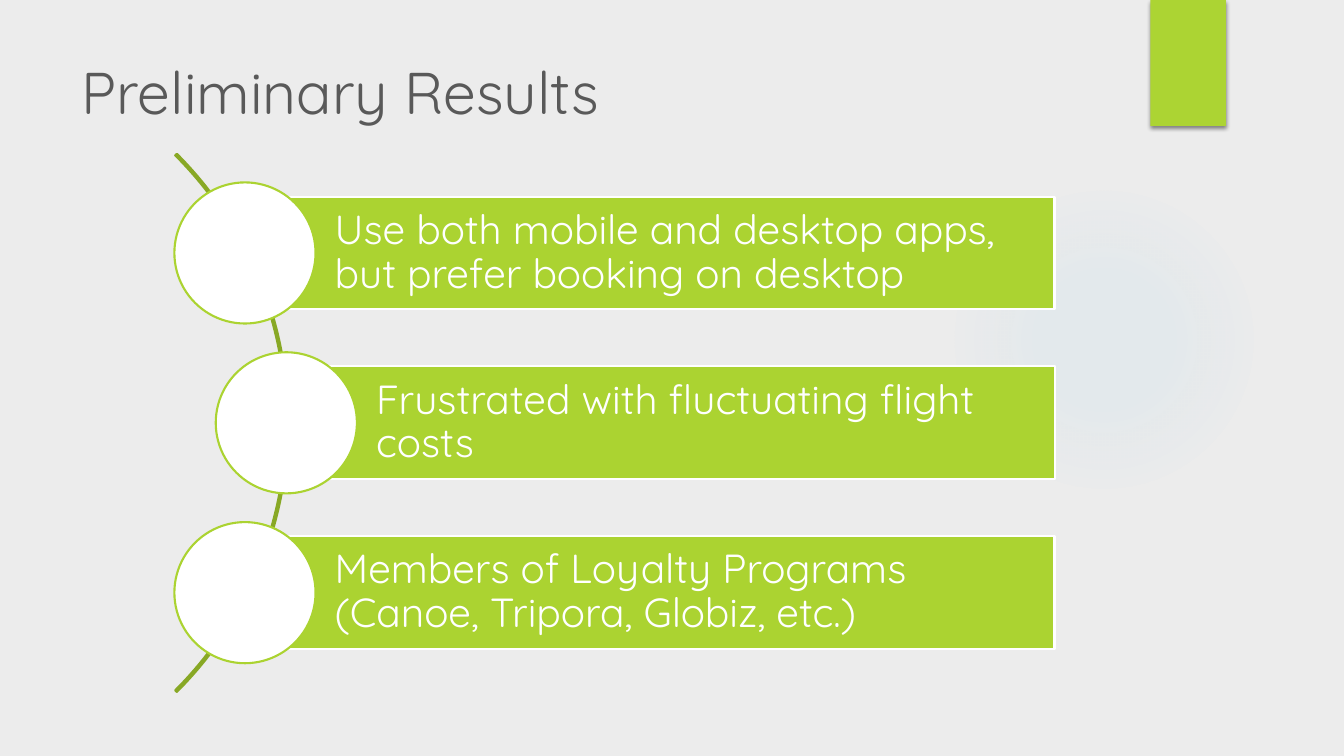
"""Build the Preliminary Results slide with its curved list of findings."""
from dataclasses import dataclass

from lxml.etree import SubElement
from pptx import Presentation
from pptx.dml.color import RGBColor
from pptx.enum.shapes import MSO_SHAPE
from pptx.enum.text import MSO_ANCHOR, PP_ALIGN
from pptx.oxml.ns import qn
from pptx.shapes.autoshape import Shape
from pptx.slide import Slide
from pptx.text.text import TextFrame
from pptx.util import Inches, Pt

FONT = "Quicksand"
GREEN = "ABD331"
WHITE = "FFFFFF"
BAR_RIGHT = 10.46
BAR_HEIGHT = 1.12
CIRCLE_SIZE = 1.4
CIRCLE_OVERLAP = 0.7
FIRST_CENTER = 2.51
ROW_STEP = 1.685


@dataclass(frozen=True)
class Finding:
    text: str
    bar_left: float


FINDINGS = (
    Finding("Use both mobile and desktop apps, but prefer booking on desktop", 2.43),
    Finding("Frustrated with fluctuating flight costs", 2.84),
    Finding("Members of Loyalty Programs (Canoe, Tripora, Globiz, etc.)", 2.43),
)


def color(value: str) -> RGBColor:
    return RGBColor.from_string(value)


def add_figure(slide: Slide, kind: MSO_SHAPE, left: float, top: float, width: float,
               height: float, fill: str | None = None, line: str | None = None) -> Shape:
    shape = slide.shapes.add_shape(
        kind, Inches(left), Inches(top), Inches(width), Inches(height))
    shape.shadow.inherit = False
    if fill:
        shape.fill.solid()
        shape.fill.fore_color.rgb = color(fill)
    else:
        shape.fill.background()
    if line:
        shape.line.color.rgb = color(line)
        shape.line.width = Pt(1.5)
    else:
        shape.line.fill.background()
    return shape


def write_text(frame: TextFrame, text: str, size: float, text_color: str,
               spacing: float = 1.0) -> None:
    frame.word_wrap = True
    paragraph = frame.paragraphs[0]
    paragraph.alignment = PP_ALIGN.LEFT
    paragraph.line_spacing = spacing
    run = paragraph.add_run()
    run.text = text
    run.font.name = FONT
    run.font.size = Pt(size)
    run.font.color.rgb = color(text_color)


def add_glow(slide: Slide) -> None:
    glow = add_figure(slide, MSO_SHAPE.OVAL, 9.41, 1.83, 3.08, 3.08)
    properties = glow._element.spPr
    empty_fill = properties.find(qn("a:noFill"))
    gradient = SubElement(properties, qn("a:gradFill"), rotWithShape="1")
    properties.replace(empty_fill, gradient)
    stops = SubElement(gradient, qn("a:gsLst"))
    for position, opacity in ((0, 7), (36, 6), (69, 0), (100, 0)):
        stop = SubElement(stops, qn("a:gs"), pos=str(position * 1000))
        stop_color = SubElement(stop, qn("a:srgbClr"), val="78C4F1")
        SubElement(stop_color, qn("a:alpha"), val=str(opacity * 1000))
    path = SubElement(gradient, qn("a:path"), path="circle")
    SubElement(path, qn("a:fillToRect"), l="50000", t="50000", r="50000", b="50000")


def add_tab(slide: Slide) -> None:
    tab = add_figure(slide, MSO_SHAPE.RECTANGLE, 11.41, 0, 0.75, 1.25, "ACD433")
    effects = tab._element.spPr.find(qn("a:effectLst"))
    shadow = SubElement(effects, qn("a:outerShdw"), blurRad=str(Pt(3)), dist=str(Pt(2)),
                        dir="5400000", rotWithShape="0")
    shadow_color = SubElement(shadow, qn("a:srgbClr"), val="000000")
    SubElement(shadow_color, qn("a:alpha"), val="45000")


def add_title(slide: Slide) -> None:
    title = slide.shapes.add_textbox(Inches(0.71), Inches(0.5), Inches(10.29), Inches(1.53))
    write_text(title.text_frame, "Preliminary Results", 42, "595959")


def add_curve(slide: Slide) -> None:
    curve = add_figure(slide, MSO_SHAPE.BLOCK_ARC, -4.69, 0.42, 7.55, 7.55, line="88A825")
    for index, value in enumerate((189, 27, 0.003)):
        curve.adjustments[index] = value


def add_finding(slide: Slide, finding: Finding, center: float) -> None:
    bar = add_figure(slide, MSO_SHAPE.RECTANGLE, finding.bar_left, center - BAR_HEIGHT / 2,
                     BAR_RIGHT - finding.bar_left, BAR_HEIGHT, GREEN, WHITE)
    frame = bar.text_frame
    frame.vertical_anchor = MSO_ANCHOR.MIDDLE
    frame.margin_left = Inches(0.89)
    frame.margin_top = frame.margin_right = frame.margin_bottom = Inches(0.08)
    write_text(frame, finding.text, 29, WHITE, 0.9)
    add_figure(slide, MSO_SHAPE.OVAL, finding.bar_left - CIRCLE_OVERLAP,
               center - CIRCLE_SIZE / 2, CIRCLE_SIZE, CIRCLE_SIZE, WHITE, GREEN)


def main() -> None:
    presentation = Presentation()
    presentation.slide_width = Inches(13.33)
    presentation.slide_height = Inches(7.5)
    slide = presentation.slides.add_slide(presentation.slide_layouts[6])
    slide.background.fill.solid()
    slide.background.fill.fore_color.rgb = color("ECECEC")
    add_glow(slide)
    add_tab(slide)
    add_title(slide)
    add_curve(slide)
    for row, finding in enumerate(FINDINGS):
        add_finding(slide, finding, FIRST_CENTER + row * ROW_STEP)
    presentation.save("out.pptx")


if __name__ == "__main__":
    main()
